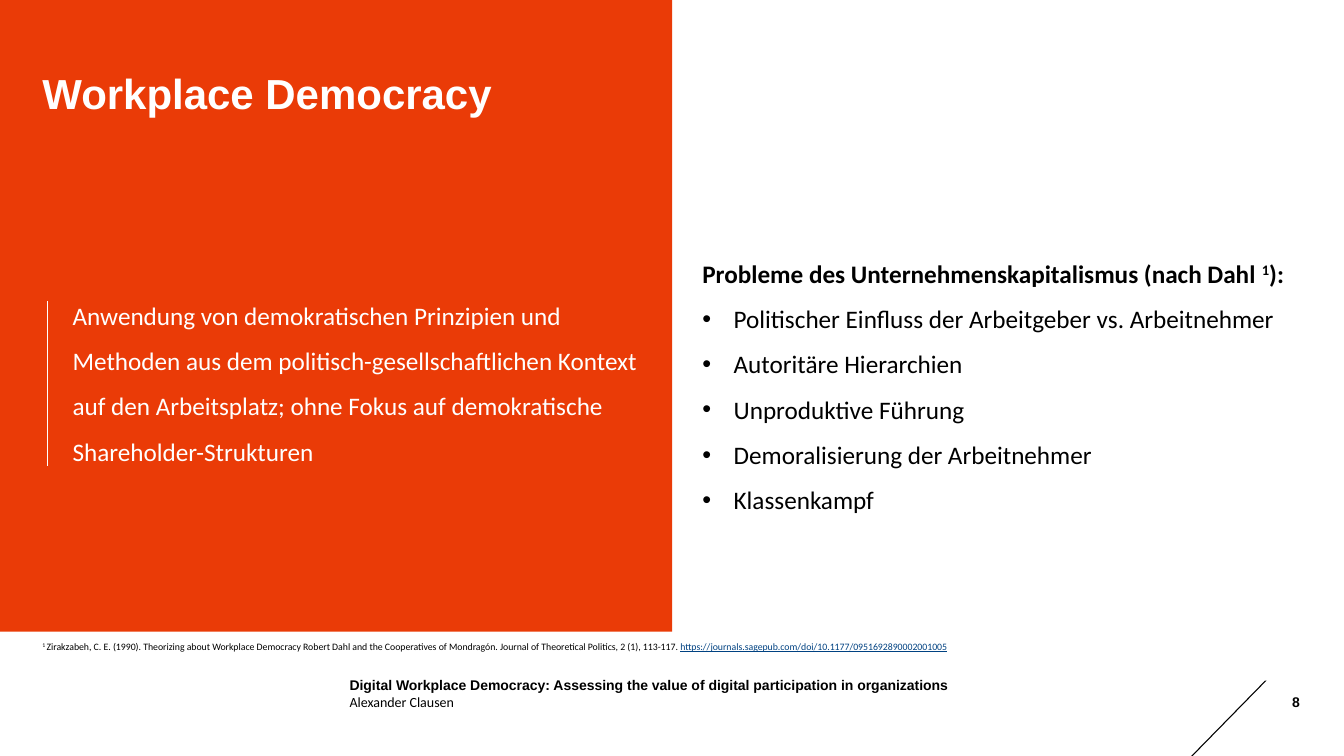
"""Build the Workplace Democracy slide."""
from lxml import etree
from pptx import Presentation
from pptx import util as u
from pptx.dml.color import RGBColor
from pptx.enum import shapes, text
from pptx.oxml import ns

RED = RGBColor(0xEA, 0x3B, 0x07)
WHITE = RGBColor(255, 255, 255)
BLACK = RGBColor(0, 0, 0)
BLUE = RGBColor(0x00, 0x42, 0x82)

HEAD = dict(name="Arial", size=u.Pt(30), bold=True, color=WHITE)
LEAD = dict(name="Calibri", size=u.Pt(18), bold=False, color=WHITE)
BODY = {**LEAD, "color": BLACK}
BOLD = {**BODY, "bold": True}
FOOT = {**BODY, "size": u.Pt(10)}
MARK = {**FOOT, "name": "Arial", "bold": True}
NOTE = {**BODY, "size": u.Pt(7)}
LINK = {**NOTE, "color": BLUE, "underline": True}

ITEMS = (
    "Politischer Einfluss der Arbeitgeber vs. Arbeitnehmer",
    "Autoritäre Hierarchien",
    "Unproduktive Führung",
    "Demoralisierung der Arbeitnehmer",
    "Klassenkampf",
)


def add_run(para, words, look, base=0):
    """Add a styled run, raised when base is above zero."""
    run = para.add_run()
    run.text = words
    for key, value in look.items():
        if key == "color":
            run.font.color.rgb = value
        else:
            setattr(run.font, key, value)
    if base:
        run.font._element.set("baseline", str(base))


def indent(para, left, first=0, bullet=None):
    """Indent a paragraph and give it a bullet if wanted."""
    props = para._p.get_or_add_pPr()
    props.set("marL", str(u.Cm(left)))
    props.set("indent", str(u.Cm(first)))
    if bullet:
        font = etree.SubElement(props, ns.qn("a:buFont"))
        font.set("typeface", "Arial")
        mark = etree.SubElement(props, ns.qn("a:buChar"))
        mark.set("char", bullet)


def add_text(slide, box, runs, anchor=text.MSO_ANCHOR.MIDDLE, pad=(0, 0)):
    """Add a wrapped text box and return its frame."""
    frame = slide.shapes.add_textbox(*map(u.Cm, box)).text_frame
    wide, high = map(u.Cm, pad)
    setup = dict(word_wrap=True, vertical_anchor=anchor, margin_left=wide,
                 margin_right=wide, margin_top=high, margin_bottom=high)
    for key, value in setup.items():
        setattr(frame, key, value)
    for run in runs:
        add_run(frame.paragraphs[0], *run)
    return frame


def add_block(slide, kind, box, color):
    """Add a plain filled shape."""
    block = slide.shapes.add_shape(kind, *map(u.Cm, box))
    block.shadow.inherit = False
    block.fill.solid()
    block.fill.fore_color.rgb = color
    block.line.fill.background()
    return block


def add_rule(slide, ends, color, width):
    """Add a straight line without a shadow."""
    rule = slide.shapes.add_connector(
        shapes.MSO_CONNECTOR.STRAIGHT, *map(u.Cm, ends))
    rule.line.color.rgb = color
    rule.line.width = u.Pt(width)
    etree.SubElement(rule._element.spPr, ns.qn("a:effectLst"))


def add_list(slide):
    """Add the list of problems with its heading."""
    frame = add_text(slide, (17.45, 6.02, 15.37, 7.06), [
        ("Probleme des Unternehmenskapitalismus (nach Dahl ", BOLD),
        ("1", BOLD, 30000), ("):", BOLD)], pad=(0.25, 0.13))
    frame.paragraphs[0].line_spacing = 1.5
    for item in ITEMS:
        para = frame.add_paragraph()
        para.line_spacing = 1.5
        indent(para, 0.79, -0.79, "•")
        add_run(para, item, BODY)


def add_foot(slide):
    """Add the source note, the footer and the page number."""
    add_text(slide, (1.07, 16.13, 23.34, 0.3), [
        ("1 ", NOTE, 30000),
        ("Zirakzabeh, C. E. (1990). Theorizing about Workplace Democracy "
         "Robert Dahl and the Cooperatives of Mondragón. Journal of "
         "Theoretical Politics, 2 (1), 113-117. ", NOTE),
        ("https://journals.sagepub.com/doi/10.1177/0951692890002001005",
         LINK)], text.MSO_ANCHOR.BOTTOM)
    add_text(slide, (8.81, 17.04, 16.15, 0.43), [
        ("Digital Workplace Democracy: Assessing the value of digital "
         "participation in organizations", MARK)])
    add_text(slide, (8.81, 17.48, 16.15, 0.43), [("Alexander Clausen", FOOT)])
    page = add_text(slide, (31.34, 17.48, 1.42, 0.43), [("8", MARK)])
    page.paragraphs[0].alignment = text.PP_ALIGN.RIGHT


def main():
    """Build and save the slide."""
    deck = Presentation()
    deck.slide_width, deck.slide_height = u.Cm(33.87), u.Cm(19.05)
    slide = deck.slides.add_slide(deck.slide_layouts[6])
    kinds = shapes.MSO_SHAPE
    slash = add_block(slide, kinds.PARALLELOGRAM,
                      (30.02, 17.15, 1.9, 1.9), BLACK)
    slash.adjustments[0] = 0.98
    add_block(slide, kinds.RECTANGLE, (0, -0.03, 16.94, 15.95), RED)
    add_text(slide, (1.07, 1.7, 31.75, 1.27), [("Workplace Democracy", HEAD)],
             text.MSO_ANCHOR.TOP)
    lead = add_text(slide, (1.07, 7.8, 15.37, 3.33), [
        ("Anwendung von demokratischen Prinzipien und Methoden aus dem "
         "politisch-gesellschaftlichen Kontext auf den Arbeitsplatz; ohne "
         "Fokus auf demokratische Shareholder-Strukturen", LEAD)])
    indent(lead.paragraphs[0], 0.76)
    lead.paragraphs[0].line_spacing = 1.5
    add_foot(slide)
    add_list(slide)
    add_rule(slide, (1.19, 7.59, 1.19, 11.73), WHITE, 0.75)
    deck.save("out.pptx")


if __name__ == "__main__":
    main()
